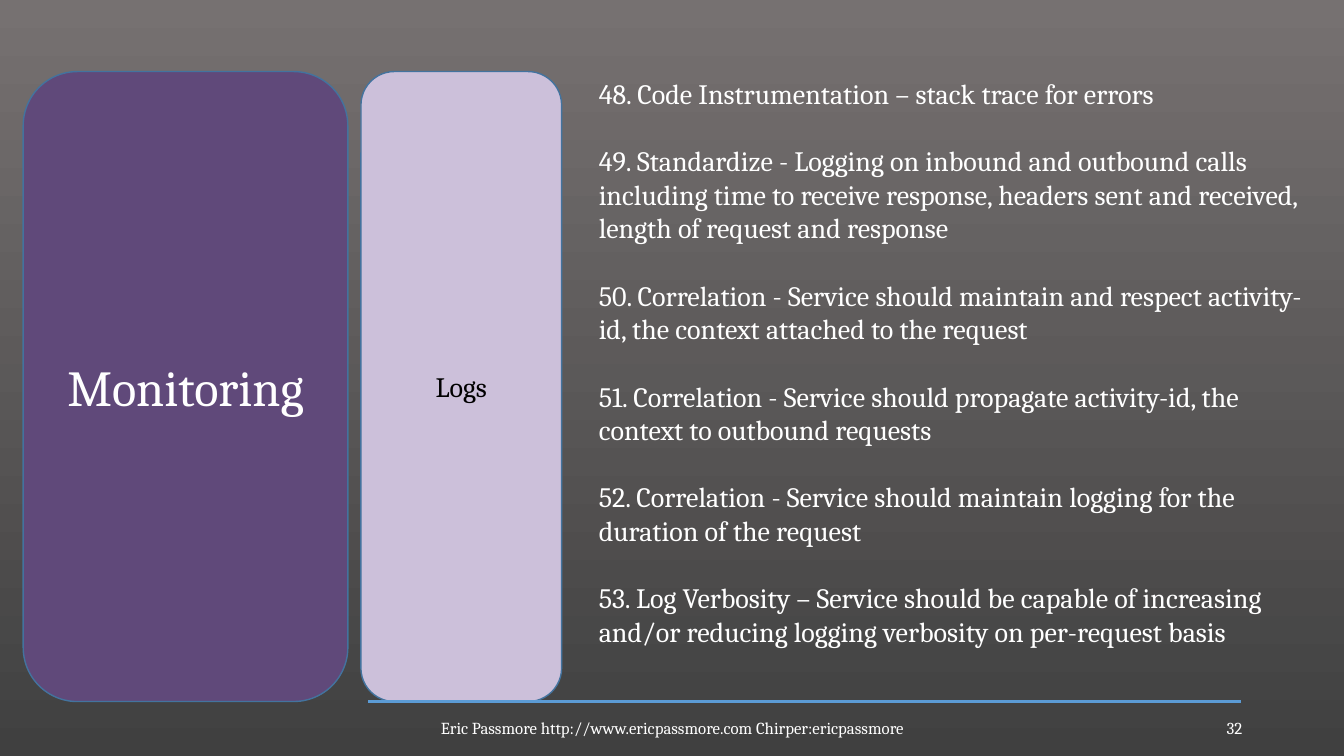
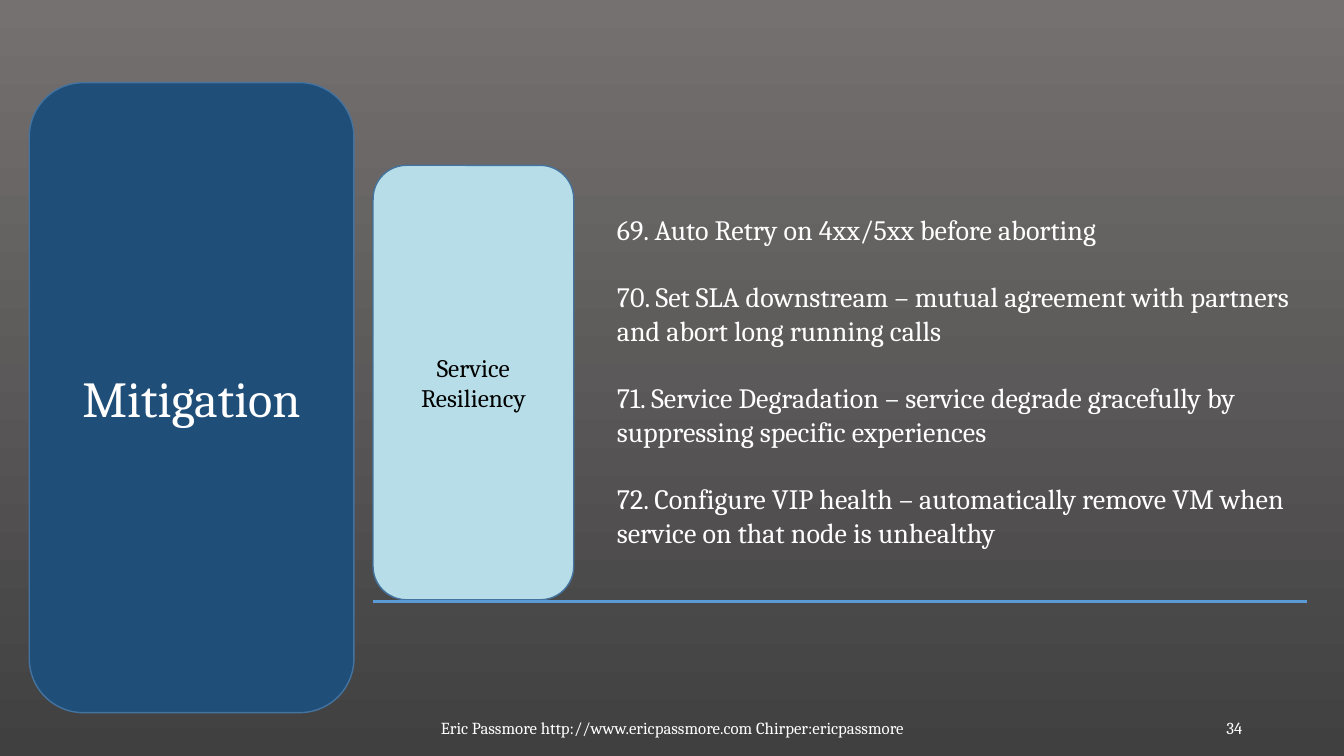
from dataclasses import dataclass

from lxml import etree
from pptx import Presentation
from pptx.dml.color import RGBColor
from pptx.enum.shapes import MSO_CONNECTOR, MSO_SHAPE
from pptx.enum.text import MSO_ANCHOR, PP_ALIGN
from pptx.oxml.ns import qn
from pptx.slide import Slide
from pptx.text.text import TextFrame
from pptx.util import Inches, Pt

ROUNDED = MSO_SHAPE.ROUNDED_RECTANGLE
STRAIGHT = MSO_CONNECTOR.STRAIGHT
MIDDLE = MSO_ANCHOR.MIDDLE
LEFT, CENTER, RIGHT = PP_ALIGN.LEFT, PP_ALIGN.CENTER, PP_ALIGN.RIGHT

FONT = "Cambria"
COLORS = {
    "background_top": "767171",
    "background_bottom": "404040",
    "outline": "43739E",
    "rule": "5B9BD5",
    "white": "FFFFFF",
    "black": "000000",
    "purple": "60497A",
    "lavender": "CCC0DA",
    "navy": "1F4E79",
    "pale_blue": "B7DEE8",
}
FOOTER = "Eric Passmore http://www.ericpassmore.com Chirper:ericpassmore"


@dataclass(frozen=True)
class Box:
    left: float
    top: float
    width: float
    height: float

    def lengths(self) -> list[int]:
        return [Inches(v) for v in (self.left, self.top, self.width, self.height)]


@dataclass(frozen=True)
class Panel:
    label: str
    box: Box
    fill: str
    text_color: str
    size: int


@dataclass(frozen=True)
class Rule:
    start: float
    end: float
    y: float


@dataclass(frozen=True)
class Topic:
    category: Panel
    subject: Panel
    practices: list[str]
    practices_box: Box
    rule: Rule
    number: int


FOOTER_BOX = Box(3.92, 7.09, 5.5, 0.26)
NUMBER_BOX = Box(9.42, 7.09, 3, 0.26)

TOPICS = [
    Topic(
        category=Panel("Monitoring", Box(0.23, 0.71, 3.22, 6.25), "purple", "white", 36),
        subject=Panel("Logs", Box(3.58, 0.71, 1.99, 6.25), "lavender", "black", 20),
        practices=[
            "48. Code Instrumentation – stack trace for errors",
            "49. Standardize - Logging on inbound and outbound calls including time to "
            "receive response, headers sent and received, length of request and response",
            "50. Correlation - Service should maintain and respect activity-id, "
            "the context attached to the request",
            "51. Correlation - Service should propagate activity-id, "
            "the context to outbound requests",
            "52. Correlation - Service should maintain logging for the duration of the request",
            "53. Log Verbosity – Service should be capable of increasing and/or reducing "
            "logging verbosity on per-request basis",
        ],
        practices_box=Box(5.84, 0.71, 7.18, 6.16),
        rule=Rule(3.65, 12.31, 6.96),
        number=32,
    ),
    Topic(
        category=Panel("Mitigation", Box(0.29, 0.82, 3.22, 6.25), "navy", "white", 36),
        subject=Panel("Service Resiliency", Box(3.7, 1.64, 1.99, 4.31), "pale_blue", "black", 18),
        practices=[
            "69. Auto Retry on 4xx/5xx before aborting",
            "70. Set SLA downstream – mutual agreement with partners "
            "and abort long running calls",
            "71. Service Degradation – service degrade gracefully by "
            "suppressing specific experiences",
            "72. Configure VIP health – automatically remove VM when "
            "service on that node is unhealthy",
        ],
        practices_box=Box(6.02, 2.06, 7.24, 3.47),
        rule=Rule(3.7, 12.96, 5.97),
        number=34,
    ),
]


def rgb(name: str) -> RGBColor:
    return RGBColor.from_string(COLORS[name])


def write(frame: TextFrame, lines: list[str], size: int, color: str,
          align: PP_ALIGN, gap: float = 0) -> None:
    """Fill a frame with one paragraph per line, gap points apart."""
    frame.word_wrap = True
    for index, line in enumerate(lines):
        paragraph = frame.add_paragraph() if index else frame.paragraphs[0]
        paragraph.text = line
        paragraph.alignment = align
        if index and gap:
            paragraph.space_before = Pt(gap)
        paragraph.font.name = FONT
        paragraph.font.size = Pt(size)
        paragraph.font.color.rgb = rgb(color)


def paint_background(slide: Slide) -> None:
    fill = slide.background.fill
    fill.gradient()
    fill.gradient_angle = 270
    for stop, name in zip(fill.gradient_stops, ("background_top", "background_bottom")):
        stop.color.rgb = rgb(name)


def add_panel(slide: Slide, panel: Panel) -> None:
    shape = slide.shapes.add_shape(ROUNDED, *panel.box.lengths())
    shape.shadow.inherit = False
    shape.fill.solid()
    shape.fill.fore_color.rgb = rgb(panel.fill)
    shape.line.color.rgb = rgb("outline")
    shape.line.width = Pt(1)
    shape.text_frame.vertical_anchor = MIDDLE
    write(shape.text_frame, [panel.label], panel.size, panel.text_color, CENTER)


def add_rule(slide: Slide, rule: Rule) -> None:
    y = Inches(rule.y)
    line = slide.shapes.add_connector(STRAIGHT, Inches(rule.start), y, Inches(rule.end), y)
    line.line.color.rgb = rgb("rule")
    line.line.width = Pt(2.25)
    etree.SubElement(line._element.spPr, qn("a:effectLst"))


def add_practices(slide: Slide, practices: list[str], box: Box) -> None:
    frame = slide.shapes.add_textbox(*box.lengths()).text_frame
    write(frame, practices, 20, "white", LEFT, gap=24)


def add_footer(slide: Slide, number: int) -> None:
    for text, box, align in ((FOOTER, FOOTER_BOX, CENTER), (str(number), NUMBER_BOX, RIGHT)):
        frame = slide.shapes.add_textbox(*box.lengths()).text_frame
        frame.vertical_anchor = MIDDLE
        write(frame, [text], 12, "white", align)


def main() -> None:
    deck = Presentation()
    deck.slide_width, deck.slide_height = Inches(13.33), Inches(7.5)
    blank = deck.slide_layouts[6]
    for topic in TOPICS:
        slide = deck.slides.add_slide(blank)
        paint_background(slide)
        add_panel(slide, topic.subject)
        add_practices(slide, topic.practices, topic.practices_box)
        add_panel(slide, topic.category)
        add_rule(slide, topic.rule)
        add_footer(slide, topic.number)
    deck.save("out.pptx")


if __name__ == "__main__":
    main()
